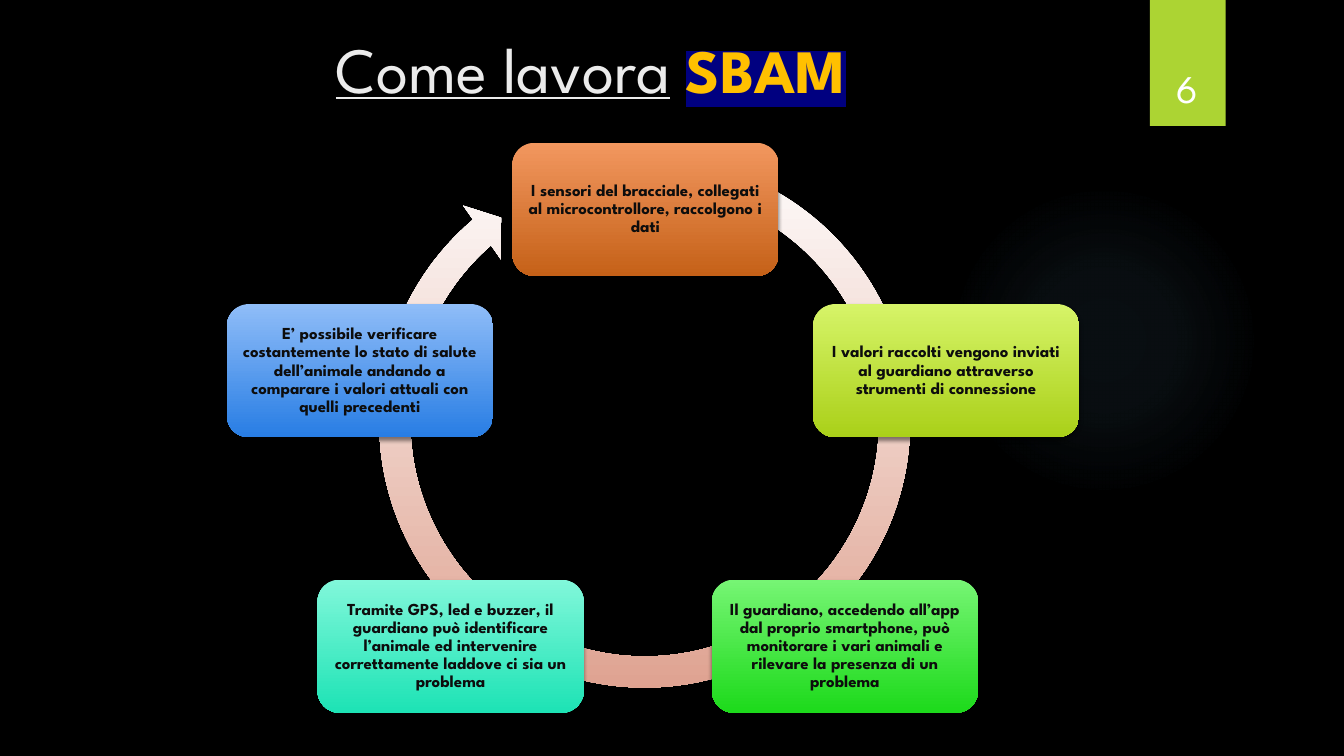
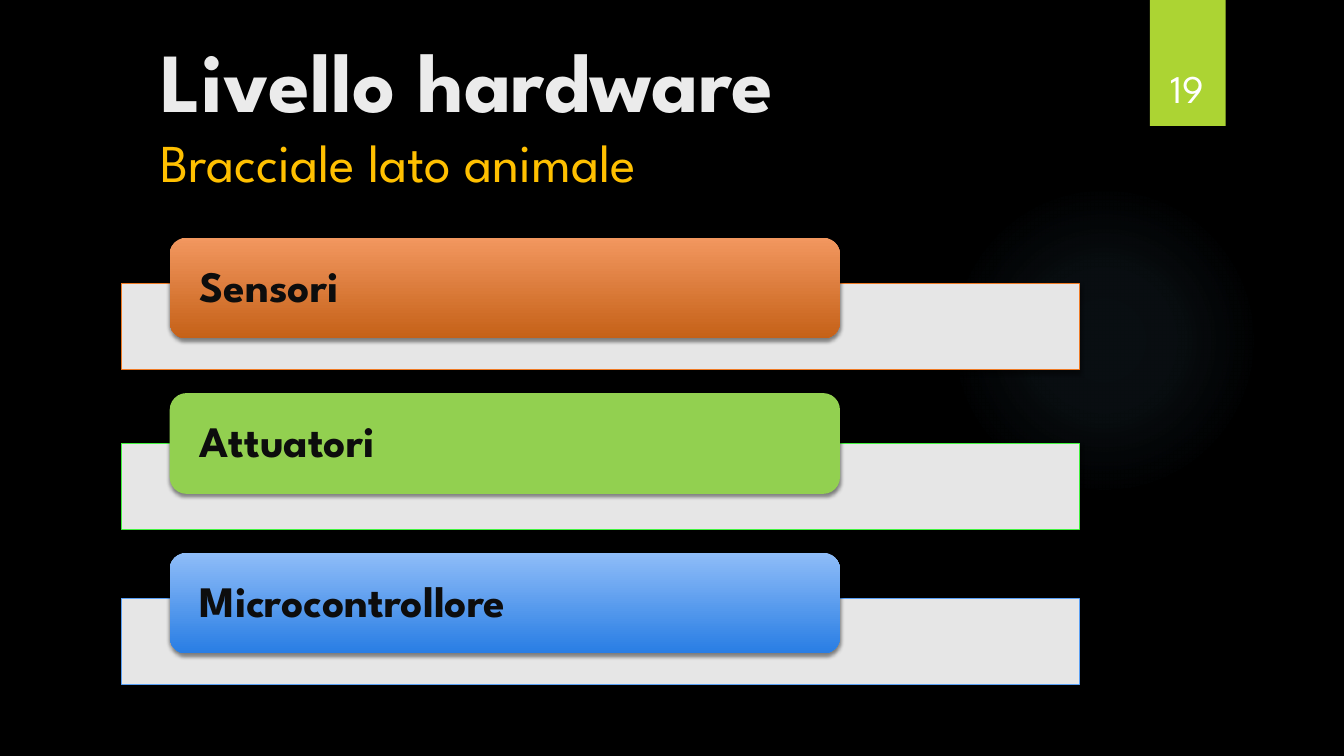
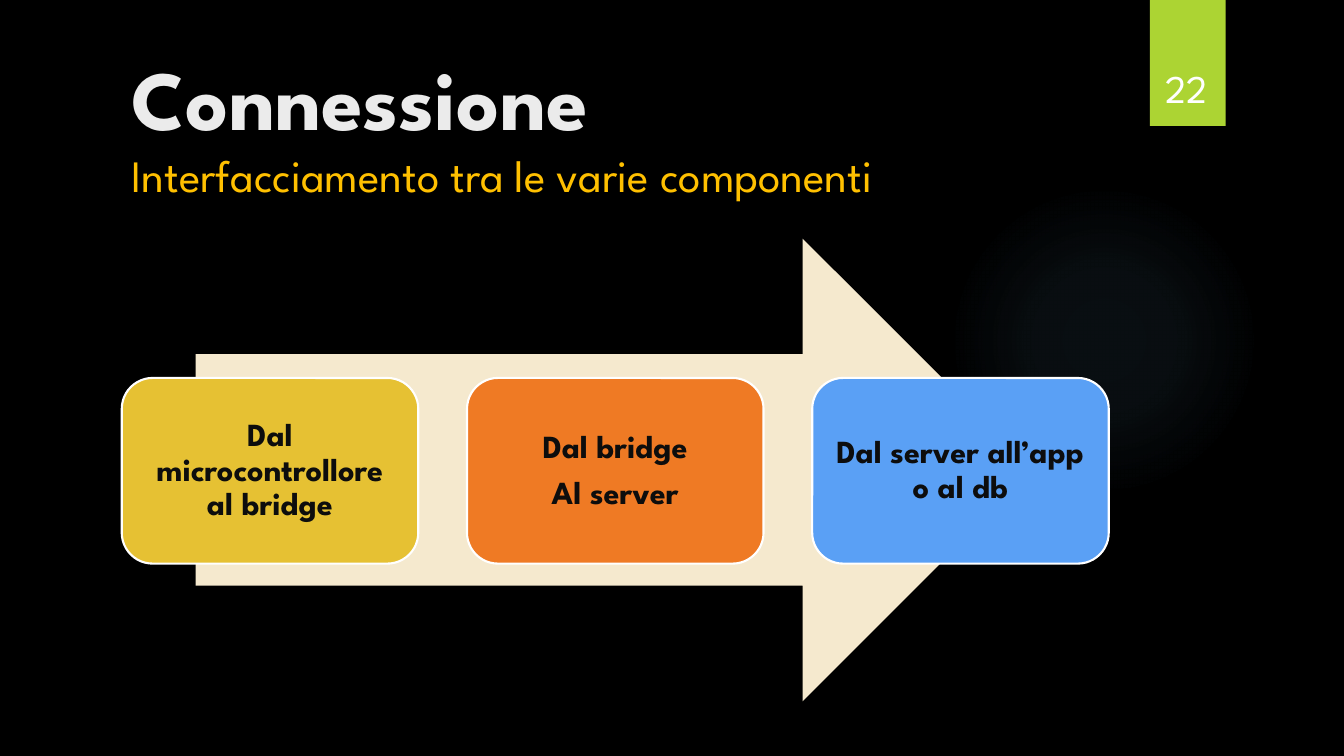
import pptx
import pptx.util
import pptx.dml.color
import pptx.enum.shapes
import pptx.enum.text
import pptx.oxml
import pptx.oxml.ns

RGB = pptx.dml.color.RGBColor
FORM = pptx.enum.shapes.MSO_SHAPE
ALIGN = pptx.enum.text.PP_ALIGN
ANCHOR = pptx.enum.text.MSO_ANCHOR

COLS, ROWS = 160, 90
CELL = pptx.util.Inches(1) // 12
FONT = "League Spartan"

BLACK = RGB(0x00, 0x00, 0x00)
WHITE = RGB(0xFF, 0xFF, 0xFF)
INK = RGB(0x0D, 0x0D, 0x0D)
PALE = RGB(0xEB, 0xEB, 0xEB)
GOLD = RGB(0xFF, 0xC0, 0x00)
NAVY = RGB(0x00, 0x00, 0x80)
LIME = RGB(0xAC, 0xD4, 0x33)
LEAF = RGB(0x92, 0xD0, 0x50)
GREEN = RGB(0x41, 0xF2, 0x3F)
AMBER = RGB(0xEF, 0x7A, 0x24)
BLUE = RGB(0x5A, 0xA0, 0xF5)
CORN = RGB(0xE6, 0xC1, 0x33)
CREAM = RGB(0xF5, 0xE9, 0xCE)
HALO = RGB(0x7A, 0xC4, 0xF0)
RUST_FADE = (RGB(0xF2, 0x97, 0x5F), RGB(0xC5, 0x61, 0x18))
LIME_FADE = (RGB(0xD6, 0xF4, 0x68), RGB(0xAA, 0xD0, 0x19))
GREEN_FADE = (RGB(0x76, 0xF5, 0x74), RGB(0x1D, 0xDA, 0x1B))
MINT_FADE = (RGB(0x81, 0xF7, 0xDA), RGB(0x1D, 0xE3, 0xB5))
BLUE_FADE = (RGB(0x8F, 0xBD, 0xF8), RGB(0x28, 0x7D, 0xE4))
ROSE_FADE = (WHITE, RGB(0xDE, 0xA0, 0x8E))


def grid(*cells):
    return [round(cell * CELL) for cell in cells]


def node(tag, inner, attrs=""):
    space = pptx.oxml.ns.nsdecls("a")
    return pptx.oxml.parse_xml(f"<a:{tag} {space} {attrs}>{inner}</a:{tag}>")


def tint(color, alpha):
    return f'<a:srgbClr val="{color}"><a:alpha val="{alpha * 1000}"/></a:srgbClr>'


def swap_fill(shape, new):
    shape.fill.background()
    old = shape._element.spPr.find(pptx.oxml.ns.qn("a:noFill"))
    old.getparent().replace(old, new)


def paint(shape, fill):
    if isinstance(fill, RGB):
        shape.fill.solid()
        shape.fill.fore_color.rgb = fill
    else:
        shape.fill.gradient()
        shape.fill.gradient_angle = 270
        for stop, color, place in zip(shape.fill.gradient_stops, fill, (0, 1)):
            stop.color.rgb = color
            stop.position = place


def draw(slide, form, place, fill, line=None, width=0.75, shade=False):
    shape = slide.shapes.add_shape(form, *grid(*place))
    shape.shadow.inherit = False
    paint(shape, fill)
    if line is None:
        shape.line.fill.background()
    else:
        shape.line.color.rgb = line
        shape.line.width = pptx.util.Pt(width)
    if shade:
        effects = shape._element.spPr.find(pptx.oxml.ns.qn("a:effectLst"))
        effects.append(node("outerShdw", tint(BLACK, 45),
                            'blurRad="38100" dist="25400" dir="5400000" rotWithShape="0"'))
    return shape


def write(para, text, size=12, color=INK, bold=False, under=False, mark=None):
    run = para.add_run()
    run.text = text
    font = run.font
    font.size = pptx.util.Pt(size)
    font.bold = bold
    font.underline = under
    font.color.rgb = color
    if mark is not None:
        fill = run._r.rPr.find(pptx.oxml.ns.qn("a:solidFill"))
        fill.addnext(node("highlight", f'<a:srgbClr val="{mark}"/>'))
    font.name = FONT


def label(shape, lines, size, side, top, align=ALIGN.CENTER):
    frame = shape.text_frame
    frame.word_wrap = True
    frame.vertical_anchor = ANCHOR.MIDDLE
    frame.margin_left = frame.margin_right = pptx.util.Inches(side)
    frame.margin_top = frame.margin_bottom = pptx.util.Inches(top)
    for index, line in enumerate(lines):
        para = frame.add_paragraph() if index else frame.paragraphs[0]
        para.alignment = align
        para.line_spacing = 0.9
        para.space_after = pptx.util.Pt(0.35 * size)
        write(para, line, size=size, bold=True)


def box(slide, place, anchor=ANCHOR.TOP):
    frame = slide.shapes.add_textbox(*grid(*place)).text_frame
    frame.word_wrap = True
    frame.vertical_anchor = anchor
    return frame.paragraphs[0]


def head(slide, place, title, below, size):
    para = box(slide, place)
    write(para, title, size=60, color=PALE, bold=True)
    para.add_line_break()
    write(para, below, size=size, color=GOLD)


def start(deck, number):
    slide = deck.slides.add_slide(deck.slide_layouts[6])
    halo = draw(slide, FORM.OVAL, (112.9, 22, 37, 37), HALO)
    stops = "".join(f'<a:gs pos="{spot * 1000}">{tint(HALO, alpha)}</a:gs>'
                    for spot, alpha in ((0, 7), (36, 6), (69, 0)))
    swap_fill(halo, node("gradFill", f'<a:gsLst>{stops}</a:gsLst><a:path path="circle">'
                         '<a:fillToRect l="50000" t="50000" r="50000" b="50000"/></a:path>'))
    draw(slide, FORM.RECTANGLE, (136.9, 0, 9, 15), LIME, shade=True)
    para = box(slide, (135.8, 3.8, 11, 10.1), ANCHOR.BOTTOM)
    para.alignment = ALIGN.CENTER
    write(para, str(number), size=28, color=WHITE)
    return slide


def cycle(deck):
    slide = start(deck, 6)
    para = box(slide, (38.8, 2.9, 82.6, 12))
    write(para, "Come lavora", size=46, color=PALE, under=True)
    write(para, " ", size=46, color=PALE)
    write(para, "SBAM", size=44, color=GOLD, bold=True, mark=NAVY)
    ring = draw(slide, FORM.CIRCULAR_ARROW, (43.1, 16.6, 67.3, 67.3), ROSE_FADE)
    for index, value in enumerate((5.5 / 100, 3.31, 137.63, 173.94, 5.8 / 100)):
        ring.adjustments[index] = value
    steps = (
        (61, 17, RUST_FADE,
         "I sensori del bracciale, collegati al microcontrollore, raccolgono i dati"),
        (96.8, 36.2, LIME_FADE,
         "I valori raccolti vengono inviati al guardiano attraverso strumenti di connessione"),
        (84.75, 69, GREEN_FADE,
         "Il guardiano, accedendo all’app dal proprio smartphone, può monitorare "
         "i vari animali e rilevare la presenza di un problema"),
        (37.8, 69, MINT_FADE,
         "Tramite GPS, led e buzzer, il guardiano può identificare l’animale "
         "ed intervenire correttamente laddove ci sia un problema"),
        (27, 36.2, BLUE_FADE,
         "E’ possibile verificare costantemente lo stato di salute dell’animale "
         "andando a comparare i valori attuali con quelli precedenti"),
    )
    for left, top, fade, text in steps:
        card = draw(slide, FORM.ROUNDED_RECTANGLE, (left, top, 31.7, 15.85), fade, shade=True)
        label(card, [text], 12, 0.05, 0.05)


def levels(deck):
    slide = start(deck, 19)
    head(slide, (17.9, 2.8, 114, 18.3), "Livello hardware", "Bracciale lato animale", 38)
    rows = (
        ("Sensori", 33.8, 28.3, AMBER, RUST_FADE),
        ("Attuatori", 52.8, 46.8, GREEN, LEAF),
        ("Microcontrollore", 71.3, 65.8, BLUE, BLUE_FADE),
    )
    for text, low, high, edge, fill in rows:
        bar = draw(slide, FORM.RECTANGLE, (14.5, low, 114, 10.2), WHITE, edge, shade=True)
        swap_fill(bar, node("solidFill", tint(WHITE, 90)))
        card = draw(slide, FORM.ROUNDED_RECTANGLE, (20.2, high, 79.8, 12), fill, shade=True)
        label(card, [text], 31, 0.25, 0, ALIGN.LEFT)


def links(deck):
    slide = start(deck, 22)
    head(slide, (14.5, 5, 123.5, 18.3), "Connessione",
         "Interfacciamento tra le varie componenti", 32)
    draw(slide, FORM.RIGHT_ARROW, (23.3, 28.4, 99.8, 55.1), CREAM)
    hops = (
        (CORN, ["Dal microcontrollore al bridge"]),
        (AMBER, ["Dal bridge", "Al server"]),
        (BLUE, ["Dal server all’app o al db"]),
    )
    for index, (fill, lines) in enumerate(hops):
        place = (14.5 + 41.1 * index, 45, 35.3, 22.1)
        card = draw(slide, FORM.ROUNDED_RECTANGLE, place, fill, WHITE, 1.5)
        label(card, lines, 23, 0.1, 0.1)


def main():
    deck = pptx.Presentation()
    deck.slide_width, deck.slide_height = grid(COLS, ROWS)
    back = deck.slide_master.background.fill
    back.solid()
    back.fore_color.rgb = BLACK
    cycle(deck)
    levels(deck)
    links(deck)
    deck.save("out.pptx")


if __name__ == "__main__":
    main()
